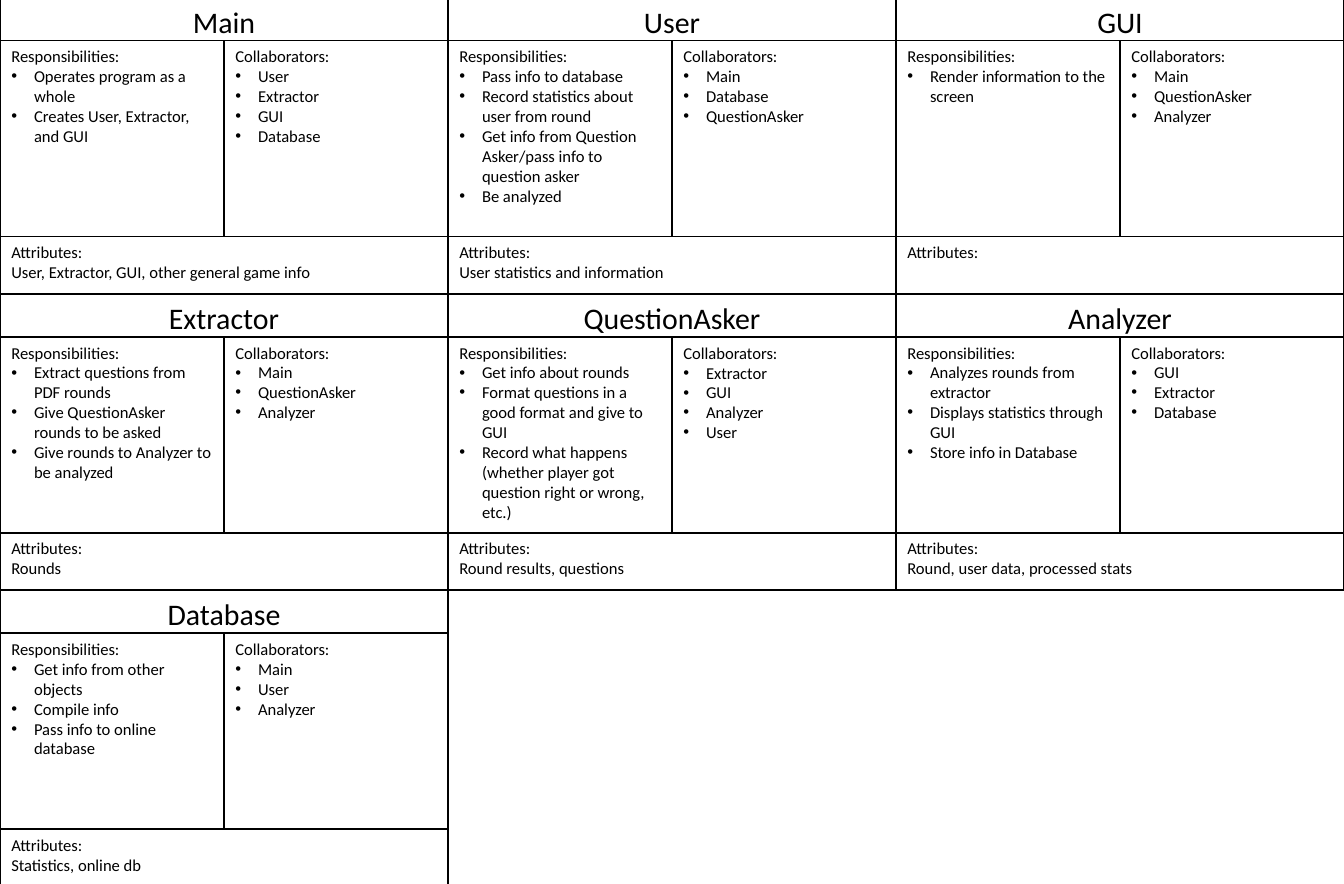
from dataclasses import dataclass

import pptx
import pptx.dml.color
import pptx.enum.shapes
import pptx.enum.text
import pptx.oxml
import pptx.oxml.ns
import pptx.util
from pptx.util import Inches


@dataclass(frozen=True)
class Theme:
    font: str = "Calibri"
    ink: pptx.dml.color.RGBColor = pptx.dml.color.RGBColor(0, 0, 0)
    title_size: int = 18
    body_size: int = 10
    line_width: int = 1


THEME = Theme()
COLUMNS = 3
CARD_WIDTH, CARD_HEIGHT = 3.75, 2.48
FIRST_TOP = -0.02
TITLE_HEIGHT, ATTRIBUTES_HEIGHT = 0.36, 0.48
INSET_X, INSET_Y = 0.095, 0.047
BULLET_INDENT = 0.19

# Class name, responsibilities, collaborators, attributes
CARDS = [
    ("Main",
     ["Operates program as a whole", "Creates User, Extractor, and GUI"],
     ["User", "Extractor", "GUI", "Database"],
     "User, Extractor, GUI, other general game info"),
    ("User",
     ["Pass info to database", "Record statistics about user from round",
      "Get info from Question Asker/pass info to question asker", "Be analyzed"],
     ["Main", "Database", "QuestionAsker"],
     "User statistics and information"),
    ("GUI",
     ["Render information to the screen"],
     ["Main", "QuestionAsker", "Analyzer"],
     ""),
    ("Extractor",
     ["Extract questions from PDF rounds", "Give QuestionAsker rounds to be asked",
      "Give rounds to Analyzer to be analyzed"],
     ["Main", "QuestionAsker", "Analyzer"],
     "Rounds"),
    ("QuestionAsker",
     ["Get info about rounds", "Format questions in a good format and give to GUI",
      "Record what happens (whether player got question right or wrong, etc.)"],
     ["Extractor", "GUI", "Analyzer", "User"],
     "Round results, questions"),
    ("Analyzer",
     ["Analyzes rounds from extractor", "Displays statistics through GUI",
      "Store info in Database"],
     ["GUI", "Extractor", "Database"],
     "Round, user data, processed stats"),
    ("Database",
     ["Get info from other objects", "Compile info", "Pass info to online database"],
     ["Main", "User", "Analyzer"],
     "Statistics, online db"),
]


def add_frame(shapes, left, top, width, height):
    frame = shapes.add_shape(pptx.enum.shapes.MSO_SHAPE.RECTANGLE,
                             Inches(left), Inches(top), Inches(width), Inches(height))
    frame.shadow.inherit = False
    frame.fill.background()
    frame.line.color.rgb = THEME.ink
    frame.line.width = pptx.util.Pt(THEME.line_width)


def add_bullet(para):
    properties = para._p.get_or_add_pPr()
    properties.set("marL", str(Inches(BULLET_INDENT)))
    properties.set("indent", str(-Inches(BULLET_INDENT)))
    for tag, name, value in (("a:buFont", "typeface", "Arial"), ("a:buChar", "char", "•")):
        element = pptx.oxml.parse_xml(f"<{tag} {pptx.oxml.ns.nsdecls('a')}/>")
        element.set(name, value)
        properties.append(element)


def add_text(shapes, left, top, width, lines, size=THEME.body_size,
             bulleted=False, centered=False):
    """Add a growing text box; bullets start after its first line."""
    height = len(lines) * size * 1.22 / 72 + 2 * INSET_Y
    box = shapes.add_textbox(Inches(left), Inches(top), Inches(width), Inches(height))
    frame = box.text_frame
    frame.word_wrap = True
    frame.auto_size = pptx.enum.text.MSO_AUTO_SIZE.SHAPE_TO_FIT_TEXT
    frame.margin_left = frame.margin_right = Inches(INSET_X)
    frame.margin_top = frame.margin_bottom = Inches(INSET_Y)
    for index, line in enumerate(lines):
        para = frame.add_paragraph() if index else frame.paragraphs[0]
        if centered:
            para.alignment = pptx.enum.text.PP_ALIGN.CENTER
        if bulleted and index:
            add_bullet(para)
        span = para.add_run()
        span.text = line
        span.font.name = THEME.font
        span.font.size = pptx.util.Pt(size)
        span.font.color.rgb = THEME.ink


def add_card(page, left, top, width, height, card):
    title, responsibilities, collaborators, attributes = card
    shapes = page.shapes.add_group_shape().shapes
    half = width / 2
    middle = left + half
    body_top = top + TITLE_HEIGHT
    attributes_top = top + height - ATTRIBUTES_HEIGHT

    add_frame(shapes, left, body_top, width, height - TITLE_HEIGHT)
    add_frame(shapes, left, attributes_top, width, ATTRIBUTES_HEIGHT)
    add_frame(shapes, middle, body_top, half, attributes_top - body_top)
    add_text(shapes, left, body_top, half,
             ["Responsibilities:", *responsibilities], bulleted=True)
    add_text(shapes, middle, body_top, half,
             ["Collaborators:", *collaborators], bulleted=True)
    add_text(shapes, left, attributes_top, width,
             ["Attributes:"] + ([attributes] if attributes else []))
    add_frame(shapes, left, top, width, TITLE_HEIGHT)
    add_text(shapes, left, top, width, [title], size=THEME.title_size, centered=True)


def main():
    deck = pptx.Presentation()
    deck.slide_width, deck.slide_height = Inches(11.25), Inches(7.4)
    page = deck.slides.add_slide(deck.slide_layouts[6])
    for index, card in enumerate(CARDS):
        row, column = divmod(index, COLUMNS)
        add_card(page, column * CARD_WIDTH, FIRST_TOP + row * CARD_HEIGHT,
                 CARD_WIDTH, CARD_HEIGHT, card)
    deck.save("out.pptx")


if __name__ == "__main__":
    main()
